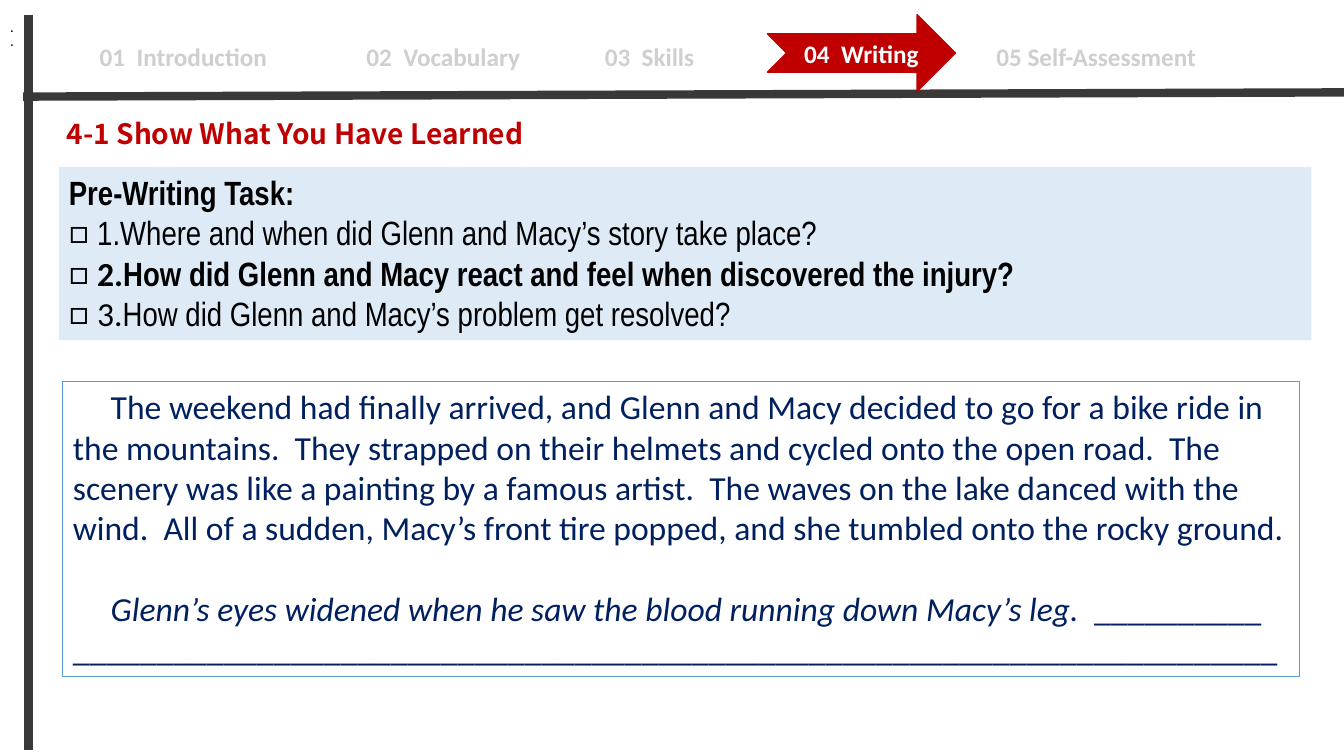
from dataclasses import dataclass, replace

import pptx
import pptx.dml.color
import pptx.enum.shapes
import pptx.enum.text
import pptx.oxml.ns
import pptx.util
from lxml import etree

EMU_PER_PX = 9525
COLORS = {
    "rule": "3B3838",
    "inactive": "D0CECE",
    "accent": "C00000",
    "white": "FFFFFF",
    "black": "000000",
    "panel": "DEEBF7",
    "frame": "5B9BD5",
    "story": "002060",
}
ANCHOR = pptx.enum.text.MSO_ANCHOR
ALIGN = pptx.enum.text.PP_ALIGN
SHAPE = pptx.enum.shapes.MSO_SHAPE


@dataclass(frozen=True)
class Box:
    left: int
    top: int
    width: int
    height: int


@dataclass(frozen=True)
class Style:
    font: str
    size: int
    color: str
    bold: bool = False
    italic: bool = False


@dataclass(frozen=True)
class Rule:
    start: tuple[int, int]
    end: tuple[int, int]


@dataclass(frozen=True)
class Tab:
    left: int
    label: str


@dataclass(frozen=True)
class Question:
    number: str
    text: str
    number_style: Style
    text_style: Style


NAV_STYLE = Style("Calibri", 18, "inactive", bold=True)
ARROW_STYLE = replace(NAV_STYLE, color="white")
TITLE_STYLE = Style("Noto Sans CJK SC", 20, "accent", bold=True)
TASK_STYLE = Style("Arial Narrow", 24, "black")
TASK_BOLD = replace(TASK_STYLE, bold=True)
NUMBER_STYLE = replace(TASK_STYLE, font="Calibri")
STORY_STYLE = Style("Calibri", 24, "story")
DOT_STYLE = Style("Arial", 11, "black")

RULES = [Rule((22, 92), (1280, 88)), Rule((27, 714), (27, 14))]
NAV_BOX = Box(64, 27, 1168, 48)
TABS = [
    Tab(95, "01  Introduction"),
    Tab(349, "02  Vocabulary"),
    Tab(576, "03  Skills"),
    Tab(949, "05 Self-Assessment"),
]
QUESTIONS = [
    Question("1.", "Where and when did Glenn and Macy’s story take place?",
             TASK_STYLE, TASK_STYLE),
    Question("2.", "How did Glenn and Macy react and feel when discovered the injury?",
             replace(NUMBER_STYLE, bold=True), TASK_BOLD),
    Question("3.", "How did Glenn and Macy’s problem get resolved?",
             NUMBER_STYLE, TASK_STYLE),
]
STORY_OPENING = (
    "The weekend had finally arrived, and Glenn and Macy decided to go for a bike ride "
    "in the mountains.  They strapped on their helmets and cycled onto the open road.  "
    "The scenery was like a painting by a famous artist.  The waves on the lake danced "
    "with the wind.  All of a sudden, Macy’s front tire popped, and she tumbled onto "
    "the rocky ground."
)
STORY_PROMPT = "Glenn’s eyes widened when he saw the blood running down Macy’s leg.  "
DOTS = [Box(0, 11, 28, 28), Box(0, 24, 26, 28)]


def px(value: int) -> pptx.util.Emu:
    return pptx.util.Emu(value * EMU_PER_PX)


def rgb(name: str) -> pptx.dml.color.RGBColor:
    return pptx.dml.color.RGBColor.from_string(COLORS[name])


def place(shape, box: Box) -> None:
    shape.left, shape.top = px(box.left), px(box.top)
    shape.width, shape.height = px(box.width), px(box.height)


def add_run(paragraph, text: str, style: Style) -> None:
    run = paragraph.add_run()
    run.text = text
    run.font.name = style.font
    run.font.size = pptx.util.Pt(style.size)
    run.font.bold = style.bold
    run.font.italic = style.italic
    run.font.color.rgb = rgb(style.color)


def add_element(parent, tag: str, **attributes: str):
    element = etree.SubElement(parent, pptx.oxml.ns.qn(tag))
    for name, value in attributes.items():
        element.set(name, value)
    return element


def set_indent(paragraph, left: int, first: int):
    properties = paragraph._p.get_or_add_pPr()
    properties.set("marL", str(px(left)))
    properties.set("indent", str(px(first)))
    return properties


def set_frame(shape, anchor=ANCHOR.TOP, wrap: bool = True):
    frame = shape.text_frame
    frame.auto_size = pptx.enum.text.MSO_AUTO_SIZE.NONE
    frame.word_wrap = wrap
    frame.vertical_anchor = anchor
    return frame


def add_panel(slide, kind, box: Box, fill: str | None, line: str | None, width: float = 1):
    shape = slide.shapes.add_shape(kind, 0, 0, 0, 0)
    place(shape, box)
    shape.shadow.inherit = False
    if fill:
        shape.fill.solid()
        shape.fill.fore_color.rgb = rgb(fill)
    else:
        shape.fill.background()
    if line:
        shape.line.color.rgb = rgb(line)
        shape.line.width = pptx.util.Pt(width)
    else:
        shape.line.fill.background()
    return shape


def add_rule(slide, rule: Rule) -> None:
    connector = slide.shapes.add_connector(
        pptx.enum.shapes.MSO_CONNECTOR.STRAIGHT,
        *(px(value) for value in rule.start + rule.end))
    connector.line.color.rgb = rgb("rule")
    connector.line.width = pptx.util.Pt(6)
    add_element(connector._element.spPr, "a:effectLst")


def add_navigation(slide) -> None:
    frame = set_frame(add_panel(slide, SHAPE.RECTANGLE, NAV_BOX, "white", None))
    origin = TABS[0].left
    frame.margin_left = px(origin - NAV_BOX.left)
    frame.margin_top = px(12)
    paragraph = frame.paragraphs[0]
    paragraph.alignment = ALIGN.LEFT
    stops = add_element(paragraph._p.get_or_add_pPr(), "a:tabLst")
    for tab in TABS[1:]:
        add_element(stops, "a:tab", pos=str(px(tab.left - origin)), algn="l")
    add_run(paragraph, "\t".join(tab.label for tab in TABS), NAV_STYLE)

    arrow = add_panel(slide, SHAPE.NOTCHED_RIGHT_ARROW, Box(731, 14, 179, 73),
                      "accent", "accent")
    paragraph = set_frame(arrow, ANCHOR.MIDDLE).paragraphs[0]
    paragraph.alignment = ALIGN.CENTER
    add_run(paragraph, "04  Writing", ARROW_STYLE)


def fill_title(title) -> None:
    place(title, Box(54, 106, 482, 42))
    paragraph = set_frame(title).paragraphs[0]
    paragraph.alignment = ALIGN.LEFT
    add_run(paragraph, "4-1 Show What You Have Learned", TITLE_STYLE)


def fill_task(body) -> None:
    place(body, Box(56, 159, 1193, 165))
    body.fill.solid()
    body.fill.fore_color.rgb = rgb("panel")
    frame = set_frame(body)
    heading = frame.paragraphs[0]
    add_element(set_indent(heading, 0, 0), "a:buNone")
    heading.space_before = pptx.util.Pt(0)
    add_run(heading, "Pre-Writing Task:", TASK_BOLD)
    for question in QUESTIONS:
        paragraph = frame.add_paragraph()
        properties = set_indent(paragraph, 27, -27)
        add_element(properties, "a:buFont", typeface="Calibri")
        add_element(properties, "a:buChar", char="□")
        paragraph.space_before = pptx.util.Pt(0)
        add_run(paragraph, question.number, question.number_style)
        add_run(paragraph, question.text, question.text_style)


def add_story(slide) -> None:
    frame = set_frame(add_panel(slide, SHAPE.RECTANGLE, Box(60, 363, 1178, 281),
                                None, "frame", 0.75))
    opening, prompt = frame.paragraphs[0], frame.add_paragraph()
    for paragraph in (opening, prompt):
        paragraph.alignment = ALIGN.LEFT
        set_indent(paragraph, 0, 36)
    add_run(opening, STORY_OPENING, STORY_STYLE)
    prompt.space_before = pptx.util.Pt(29)
    add_run(prompt, STORY_PROMPT, replace(STORY_STYLE, italic=True))
    add_run(prompt, "_" * 10, STORY_STYLE)
    prompt.add_line_break()
    add_run(prompt, "_" * 72, STORY_STYLE)


def add_dot(slide, box: Box) -> None:
    shape = slide.shapes.add_textbox(0, 0, 0, 0)
    place(shape, box)
    add_run(set_frame(shape, ANCHOR.MIDDLE, wrap=False).paragraphs[0], ".", DOT_STYLE)


def main() -> None:
    presentation = pptx.Presentation()
    presentation.slide_width, presentation.slide_height = px(1280), px(720)
    slide = presentation.slides.add_slide(presentation.slide_layouts[1])
    for rule in RULES:
        add_rule(slide, rule)
    add_navigation(slide)
    fill_title(slide.shapes.title)
    fill_task(slide.placeholders[1])
    add_story(slide)
    for box in DOTS:
        add_dot(slide, box)
    presentation.save("out.pptx")


if __name__ == "__main__":
    main()
